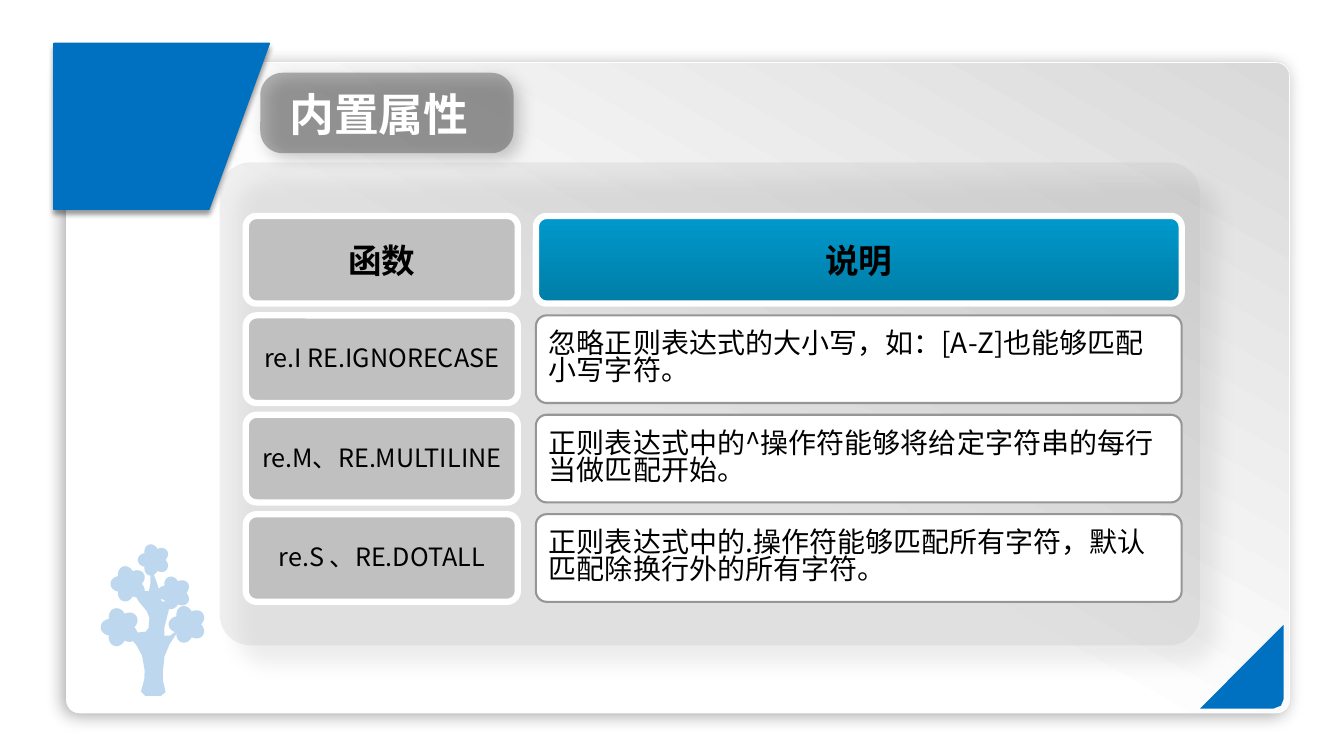
from dataclasses import dataclass
from math import cos, pi, sin

from lxml import etree
from pptx import Presentation
from pptx.dml.color import RGBColor
from pptx.enum.shapes import MSO_SHAPE
from pptx.enum.text import MSO_ANCHOR, MSO_AUTO_SIZE, PP_ALIGN
from pptx.oxml.ns import qn
from pptx.util import Pt

ROUNDED = MSO_SHAPE.ROUNDED_RECTANGLE
MIDDLE = MSO_ANCHOR.MIDDLE
NO_AUTOSIZE = MSO_AUTO_SIZE.NONE
LEFT, CENTER = PP_ALIGN.LEFT, PP_ALIGN.CENTER


@dataclass(frozen=True)
class Theme:
    font: str = "Noto Sans CJK SC"
    title_size: float = 32
    header_size: float = 24
    description_size: float = 20
    label_size: float = 18
    row_spacing: float = 19.5
    white: str = "FFFFFF"
    black: str = "000000"
    blue: str = "0070C0"
    tree: str = "BDD7EE"
    silver: str = "C0C0C0"
    border: str = "969696"
    title_bar: str = "404040"
    card_fade: tuple = ("FFFFFF", "D9D9D9")
    header_fade: tuple = ("0099CC", "007DA7")


THEME = Theme()


def style(shape, fill, line=None, width=0, opacity=100, shadow=None, angle=270, fade_from=0):
    """Two colours make a gradient; shadow is (opacity %, blur pt, distance pt, degrees)."""
    if isinstance(fill, tuple):
        shape.fill.gradient()
        shape.fill.gradient_angle = angle
        for stop, colour, position in zip(shape.fill.gradient_stops, fill, (fade_from, 1)):
            stop.color.rgb = RGBColor.from_string(colour)
            stop.position = position
    else:
        shape.fill.solid()
        shape.fill.fore_color.rgb = RGBColor.from_string(fill)
    properties = shape.element.spPr
    if opacity < 100:
        colour = properties.find(qn("a:solidFill")).find(qn("a:srgbClr"))
        etree.SubElement(colour, qn("a:alpha"), val=str(opacity * 1000))
    if line:
        shape.line.color.rgb = RGBColor.from_string(line)
        shape.line.width = Pt(width)
    else:
        shape.line.fill.background()
    shape.shadow.inherit = False
    if shadow:
        strength, blur, distance, degrees = shadow
        outer = etree.SubElement(
            properties.find(qn("a:effectLst")), qn("a:outerShdw"),
            blurRad=str(Pt(blur)), dist=str(Pt(distance)), dir=str(degrees * 60000),
            algn="ctr", rotWithShape="0")
        colour = etree.SubElement(outer, qn("a:srgbClr"), val=THEME.black)
        etree.SubElement(colour, qn("a:alpha"), val=str(strength * 1000))


def write(shape, text, size, colour=THEME.black, bold=False, align=CENTER, spacing=None, wrap=False):
    frame = shape.text_frame
    frame.text = text
    frame.word_wrap = wrap
    frame.auto_size = NO_AUTOSIZE
    frame.vertical_anchor = MIDDLE
    for paragraph in frame.paragraphs:
        paragraph.alignment = align
        if spacing:
            paragraph.line_spacing = Pt(spacing)
        font = paragraph.font
        font.size, font.bold, font.name = Pt(size), bold, THEME.font
        font.color.rgb = RGBColor.from_string(colour)
        defaults = paragraph._p.pPr.find(qn("a:defRPr"))
        etree.SubElement(defaults, qn("a:ea"), typeface=THEME.font)


deck = Presentation()
deck.slide_width, deck.slide_height = Pt(960.5), Pt(540)
slide = deck.slides.add_slide(deck.slide_layouts[5])
shapes = slide.shapes

# Background card
card = shapes.add_shape(ROUNDED, Pt(47.5), Pt(44.7), Pt(874), Pt(464.5))
card.adjustments[0] = 0.02
style(card, THEME.card_fade, THEME.white, 0.5, shadow=(34, 12, 3, 135), angle=60, fade_from=0.45)

# Blue corner, blue tab and tree
corner = [(917.3, 446.4), (917.3, 499.5), (915.5, 504), (910, 506.2), (857.5, 506.2)]
tab = [(192.5, 31), (38.5, 31), (38.5, 149.5), (149.3, 149.5)]
trunk_knots = [
    (134, 441), (123, 454), (116, 454), (124, 423), (116, 432), (113, 418), (106, 401),
    (108, 415), (106, 424), (94, 415), (97, 427), (107, 439), (106, 451), (97, 452),
    (85, 446), (101, 465), (104, 482), (100, 497), (119, 497), (116, 484), (118, 465)]
trunk = []
for (x0, y0), (x1, y1) in zip(trunk_knots, trunk_knots[1:] + trunk_knots[:1]):
    # Cutting each corner rounds the branches
    trunk += [(x0 + (x1 - x0) * t, y0 + (y1 - y0) * t) for t in (0.2, 0.8)]

outlines = [
    (corner, THEME.blue, None, None),
    (tab, THEME.blue, THEME.blue, (40, 4, 3, 90)),
    (trunk, THEME.tree, None, None),
]

LOBES, LEAF_STEPS = 5, 60
leaf_clusters = [(86, 448, 14), (92, 417, 13), (110, 400, 11.5), (124.5, 423.5, 12), (134, 446, 13.5)]
for center_x, center_y, radius in leaf_clusters:
    leaves = []
    for step in range(LEAF_STEPS):
        turn = 2 * pi * step / LEAF_STEPS
        reach = radius * (0.72 + 0.28 * abs(sin(LOBES * turn / 2)))
        leaves.append((center_x + reach * cos(turn), center_y + reach * sin(turn)))
    outlines.append((leaves, THEME.tree, None, None))

for points, fill, line, shadow in outlines:
    first, *rest = [(Pt(x), Pt(y)) for x, y in points]
    builder = shapes.build_freeform(*first)
    builder.add_line_segments(rest, close=True)
    style(builder.convert_to_shape(), fill, line, 1, shadow=shadow)

# Title on its bar
title_bar = shapes.add_shape(ROUNDED, Pt(186), Pt(52), Pt(181), Pt(57.5))
title_bar.adjustments[0] = 0.278
style(title_bar, THEME.title_bar, opacity=40, shadow=(50, 12, 6, 45))

title = shapes.title
title.left, title.top, title.width, title.height = Pt(199.5), Pt(58.3), Pt(144), Pt(46)
write(title, "内置属性", THEME.title_size, THEME.white, bold=True, align=LEFT)
title_bar.element.addnext(title.element)

# Panel with the function rows
panel = shapes.add_shape(ROUNDED, Pt(157), Pt(116), Pt(700.5), Pt(345))
panel.adjustments[0] = 0.064
style(panel, THEME.silver, opacity=25, shadow=(30, 15, 18, 45))

rows = [
    ("函数", "说明"),
    ("re.I RE.IGNORECASE", "忽略正则表达式的大小写，如：[A-Z]也能够匹配\n小写字符。"),
    ("re.M、RE.MULTILINE", "正则表达式中的^操作符能够将给定字符串的每行\n当做匹配开始。"),
    ("re.S 、RE.DOTALL", "正则表达式中的.操作符能够匹配所有字符，默认\n匹配除换行外的所有字符。"),
]
ROW_TOP, ROW_PITCH, ROW_HEIGHT = 154.3, 71, 62.6
COLUMNS = [(175.7, 194.4), (383, 461.5)]

for index, row in enumerate(rows):
    top = Pt(ROW_TOP + index * ROW_PITCH)
    name, description = [
        shapes.add_shape(ROUNDED, Pt(left), top, Pt(width), Pt(ROW_HEIGHT)) for left, width in COLUMNS]
    for cell in (name, description):
        cell.adjustments[0] = 0.123
    style(name, THEME.silver, THEME.white, 4.5)
    if index == 0:
        style(description, THEME.header_fade, THEME.white, 4.5)
        for cell, heading in zip((name, description), row):
            write(cell, heading, THEME.header_size, bold=True)
    else:
        style(description, THEME.white, THEME.border, 1.5)
        write(name, row[0], THEME.label_size, spacing=THEME.row_spacing)
        write(description, row[1], THEME.description_size, align=LEFT, spacing=THEME.row_spacing, wrap=True)

deck.save("out.pptx")
